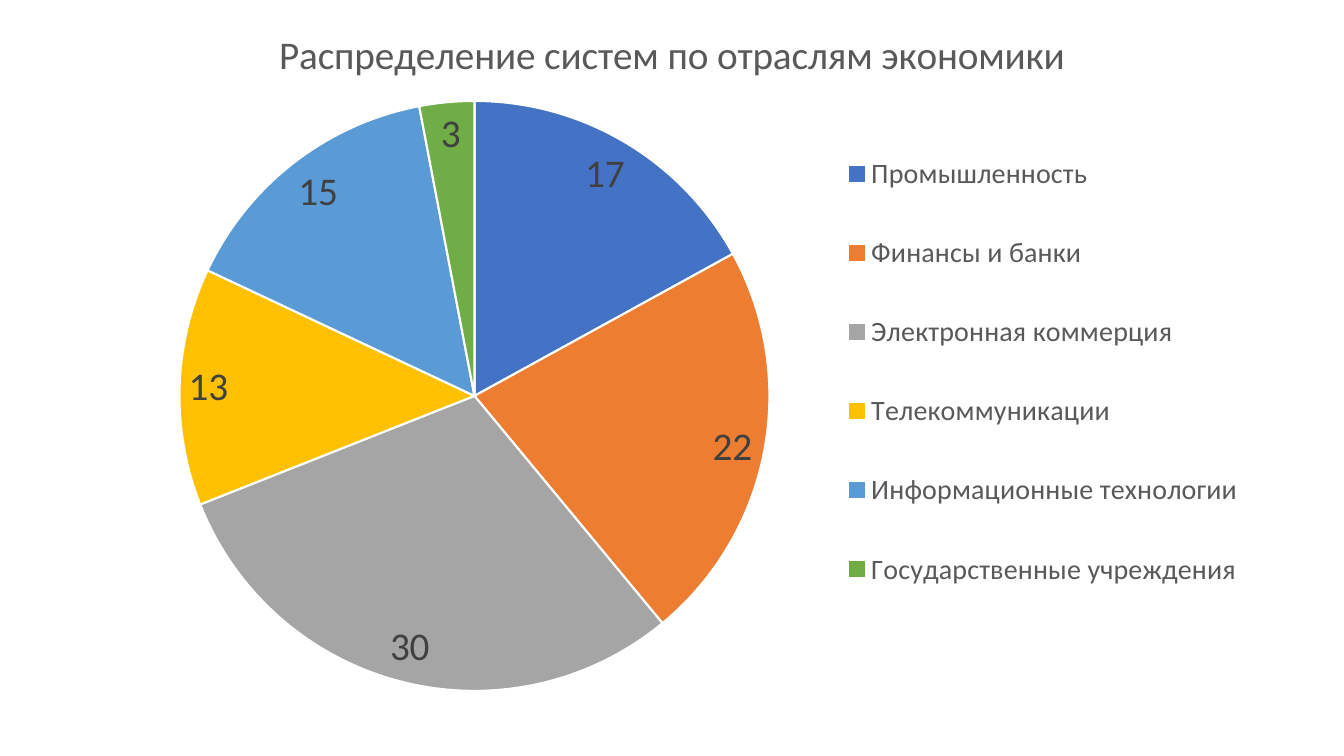
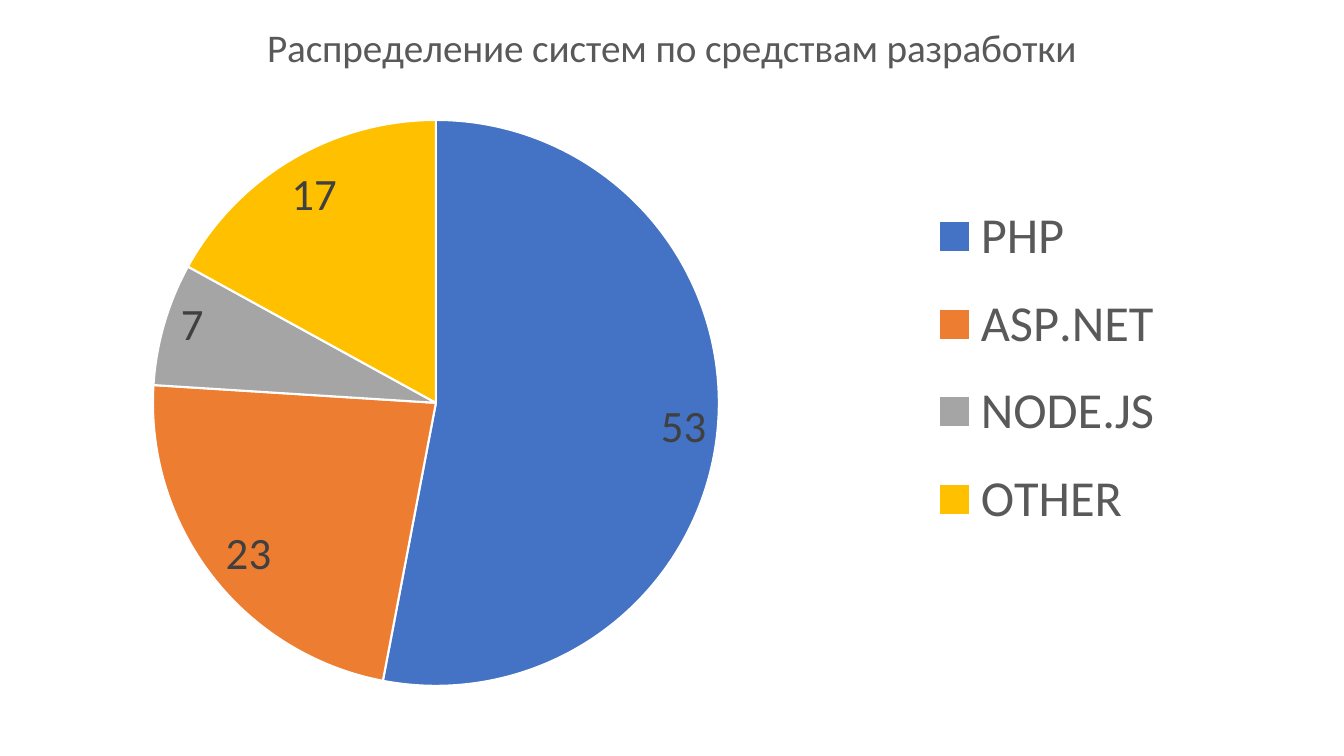
from lxml import etree
from pptx import Presentation
from pptx import util as u
from pptx.chart.data import CategoryChartData
from pptx.dml.color import RGBColor
from pptx.enum import chart as charts
from pptx.oxml import ns

WIDTH, HEIGHT = 1344, 756
EMU_PER_INCH, PX_PER_INCH = 914400, 100.8
BLANK_LAYOUT = 6
FONT = "Calibri"
TITLE_SIZE = 28
GREY, DARK, WHITE = "595959", "404040", "FFFFFF"
PALETTE = ["4472C4", "ED7D31", "A5A5A5", "FFC000", "5B9BD5", "70AD47"]


def px(length):
    return u.Emu(round(length * EMU_PER_INCH / PX_PER_INCH))


def color(value):
    return RGBColor.from_string(value)


def style_font(font, size, ink):
    font.name = FONT
    font.size = u.Pt(size)
    font.bold = False
    font.color.rgb = color(ink)


def place(element, left, top, width=None, height=None, inner=False):
    """Give a chart part a manual layout, in px of the slide."""
    layout = element.find(ns.qn("c:layout"))
    if layout is None:
        leading = (ns.qn("c:tx"), ns.qn("c:legendPos"))
        layout = etree.Element(ns.qn("c:layout"))
        element.insert(sum(child.tag in leading for child in element), layout)
    for child in list(layout):
        layout.remove(child)
    manual = etree.SubElement(layout, ns.qn("c:manualLayout"))
    settings = [("layoutTarget", "inner")] if inner else []
    settings += [("xMode", "edge"), ("yMode", "edge"),
                 ("x", left / WIDTH), ("y", top / HEIGHT)]
    if width is not None:
        settings += [("w", width / WIDTH), ("h", height / HEIGHT)]
    for tag, value in settings:
        text = value if isinstance(value, str) else f"{value:.4f}"
        etree.SubElement(manual, ns.qn(f"c:{tag}"), val=text)


def add_title(chart, title, position):
    chart.has_title = True
    run = chart.chart_title.text_frame.paragraphs[0].add_run()
    run.text = title
    style_font(run.font, TITLE_SIZE, GREY)
    place(chart._chartSpace.chart.find(ns.qn("c:title")), *position)


def add_legend(chart, size, box):
    chart.has_legend = True
    legend = chart.legend
    legend.position = charts.XL_LEGEND_POSITION.RIGHT
    legend.include_in_layout = False
    style_font(legend.font, size, GREY)
    place(chart._chartSpace.chart.find(ns.qn("c:legend")), *box)


def style_slices(plot, label_size):
    plot.vary_by_categories = True
    series = plot.series[0]
    for index, _ in enumerate(series.values):
        wedge = series.points[index].format
        wedge.fill.solid()
        wedge.fill.fore_color.rgb = color(PALETTE[index])
        wedge.line.color.rgb = color(WHITE)
        wedge.line.width = u.Pt(1.5)
    labels = series.data_labels
    labels.show_value = True
    labels.show_percentage = False
    labels.position = charts.XL_LABEL_POSITION.BEST_FIT
    style_font(labels.font, label_size, DARK)


def add_pie_slide(deck, title, shares, title_at, pie_box, legend_box,
                  label_size, legend_size):
    slide = deck.slides.add_slide(deck.slide_layouts[BLANK_LAYOUT])
    data = CategoryChartData()
    data.categories = list(shares)
    data.add_series("Series 1", list(shares.values()))
    chart = slide.shapes.add_chart(charts.XL_CHART_TYPE.PIE, 0, 0,
                                   px(WIDTH), px(HEIGHT), data).chart
    style_font(chart.font, 10, "000000")
    add_title(chart, title, title_at)
    style_slices(chart.plots[0], label_size)
    place(chart._chartSpace.chart.plotArea, *pie_box, inner=True)
    add_legend(chart, legend_size, legend_box)


def main():
    deck = Presentation()
    deck.slide_width, deck.slide_height = px(WIDTH), px(HEIGHT)
    add_pie_slide(
        deck, "Распределение систем по отраслям экономики",
        {"Промышленность": 17, "Финансы и банки": 22,
         "Электронная коммерция": 30, "Телекоммуникации": 13,
         "Информационные технологии": 15, "Государственные учреждения": 3},
        title_at=(272, 21), pie_box=(179, 101, 591, 590),
        legend_box=(838, 112, 410, 519), label_size=28, legend_size=20)
    add_pie_slide(
        deck, "Распределение систем по средствам разработки",
        {"PHP": 53, "ASP.NET": 23, "NODE.JS": 7, "OTHER": 17},
        title_at=(260, 14), pie_box=(153, 120, 566, 566),
        legend_box=(922, 180, 250, 376), label_size=32, legend_size=36)
    deck.save("out.pptx")


if __name__ == "__main__":
    main()
